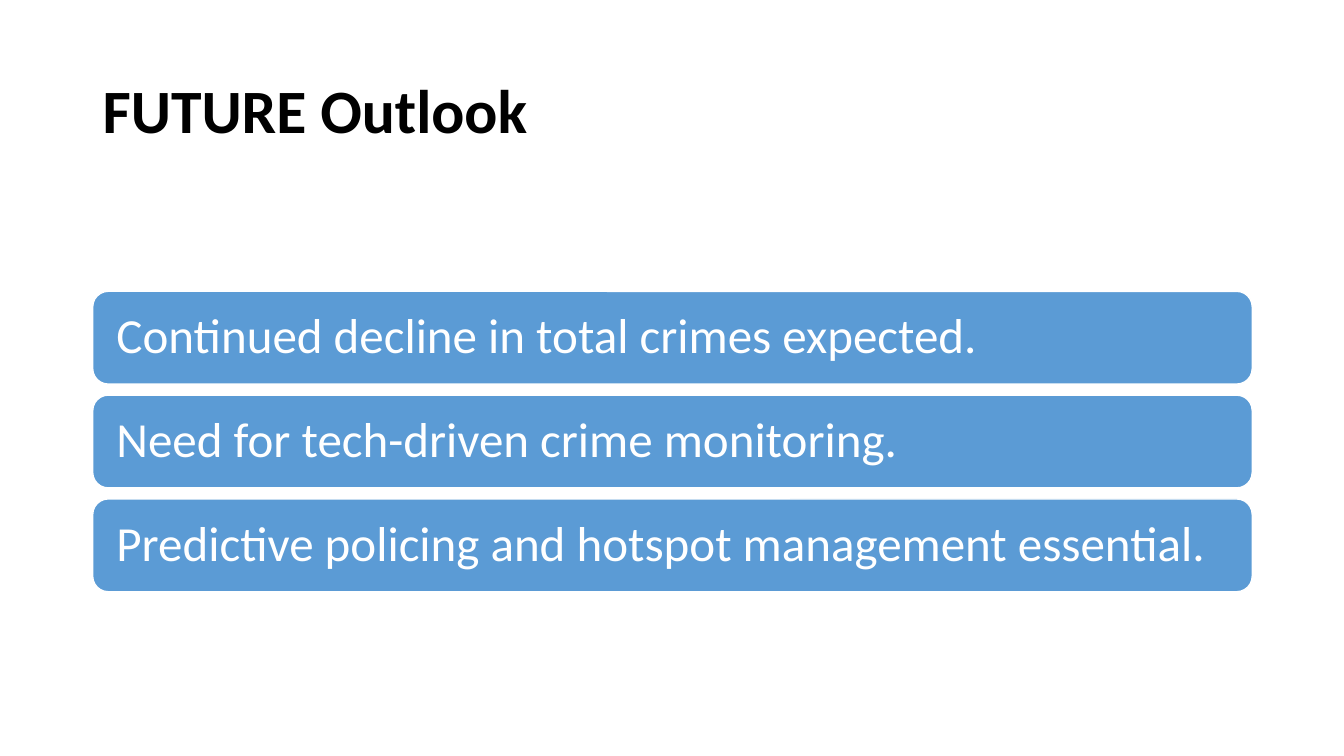
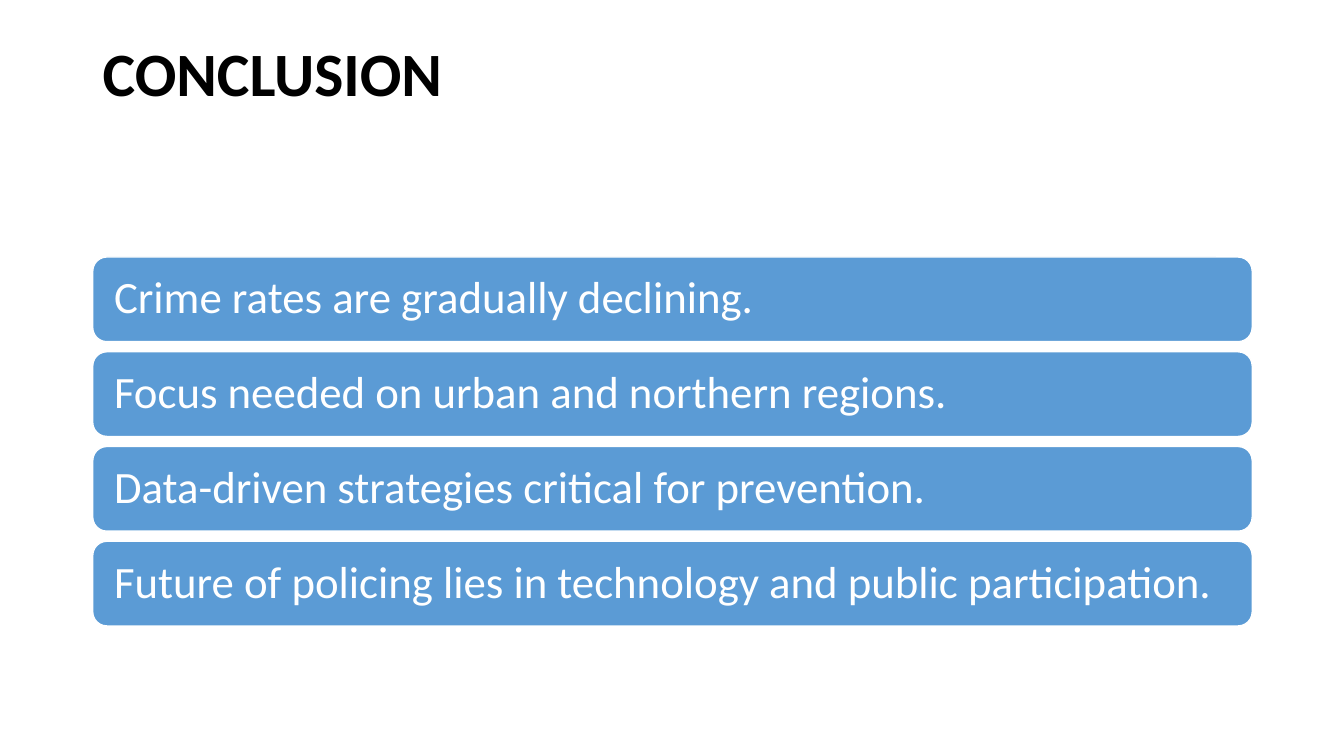
import dataclasses

import pptx
import pptx.dml.color
import pptx.enum.shapes
import pptx.enum.text
import pptx.util

Inches = pptx.util.Inches
Pt = pptx.util.Pt
RGBColor = pptx.dml.color.RGBColor


@dataclasses.dataclass(frozen=True)
class Theme:
    font: str = "Calibri"
    title_color: RGBColor = RGBColor(0x00, 0x00, 0x00)
    bar_fill: RGBColor = RGBColor(0x5B, 0x9B, 0xD5)
    bar_text: RGBColor = RGBColor(0xFF, 0xFF, 0xFF)
    bar_line: RGBColor = RGBColor(0xFF, 0xFF, 0xFF)
    title_size: int = 44
    three_bar_size: int = 35
    four_bar_size: int = 32
    line_spacing: float = 0.9


LEFT = 0.92
WIDTH = 11.5
STACK_CENTER = 4.38


class Deck:
    def __init__(self, theme):
        self.theme = theme
        self.presentation = pptx.Presentation()
        self.presentation.slide_width = Inches(13.33)
        self.presentation.slide_height = Inches(7.5)
        self.slide = None

    def add_slide(self):
        blank_layout = self.presentation.slide_layouts[6]
        self.slide = self.presentation.slides.add_slide(blank_layout)

    def set_text(self, shape, text, size, color, bold=False):
        """Set one left-aligned, vertically centred line of text."""
        text_frame = shape.text_frame
        text_frame.text = text
        text_frame.word_wrap = True
        text_frame.vertical_anchor = pptx.enum.text.MSO_ANCHOR.MIDDLE
        paragraph = text_frame.paragraphs[0]
        paragraph.alignment = pptx.enum.text.PP_ALIGN.LEFT
        paragraph.line_spacing = self.theme.line_spacing
        font = paragraph.runs[0].font
        font.name = self.theme.font
        font.size = Pt(size)
        font.bold = bold
        font.color.rgb = color

    def add_title(self, text, bottom_inset=0.05):
        """Add the title; a larger bottom inset raises its text."""
        box = self.slide.shapes.add_textbox(
            Inches(LEFT), Inches(0.4), Inches(WIDTH), Inches(1.45))
        self.set_text(box, text, self.theme.title_size, self.theme.title_color, bold=True)
        box.text_frame.margin_bottom = Inches(bottom_inset)

    def add_bar(self, text, top, height, size, inset):
        bar = self.slide.shapes.add_shape(
            pptx.enum.shapes.MSO_SHAPE.ROUNDED_RECTANGLE,
            Inches(LEFT), Inches(top), Inches(WIDTH), Inches(height))
        bar.shadow.inherit = False
        bar.fill.solid()
        bar.fill.fore_color.rgb = self.theme.bar_fill
        bar.line.color.rgb = self.theme.bar_line
        bar.line.width = Pt(1)
        self.set_text(bar, text, size, self.theme.bar_text)
        bar.text_frame.margin_left = bar.text_frame.margin_right = Inches(inset)

    def add_bar_stack(self, texts, height, gap, size, inset):
        """Stack equal bars around the vertical centre of the content area."""
        pitch = height + gap
        top = STACK_CENTER - (len(texts) * pitch - gap) / 2
        for index, text in enumerate(texts):
            self.add_bar(text, top + index * pitch, height, size, inset)


def main():
    theme = Theme()
    deck = Deck(theme)

    deck.add_slide()
    deck.add_title("FUTURE Outlook")
    deck.add_bar_stack([
        "Continued decline in total crimes expected.",
        "Need for tech-driven crime monitoring.",
        "Predictive policing and hotspot management essential.",
    ], height=0.92, gap=0.11, size=theme.three_bar_size, inset=0.19)

    deck.add_slide()
    deck.add_title("CONCLUSION", bottom_inset=0.78)
    deck.add_bar_stack([
        "Crime rates are gradually declining.",
        "Focus needed on urban and northern regions.",
        "Data-driven strategies critical for prevention.",
        "Future of policing lies in technology and public participation.",
    ], height=0.84, gap=0.1, size=theme.four_bar_size, inset=0.17)

    deck.presentation.save("out.pptx")


if __name__ == "__main__":
    main()
